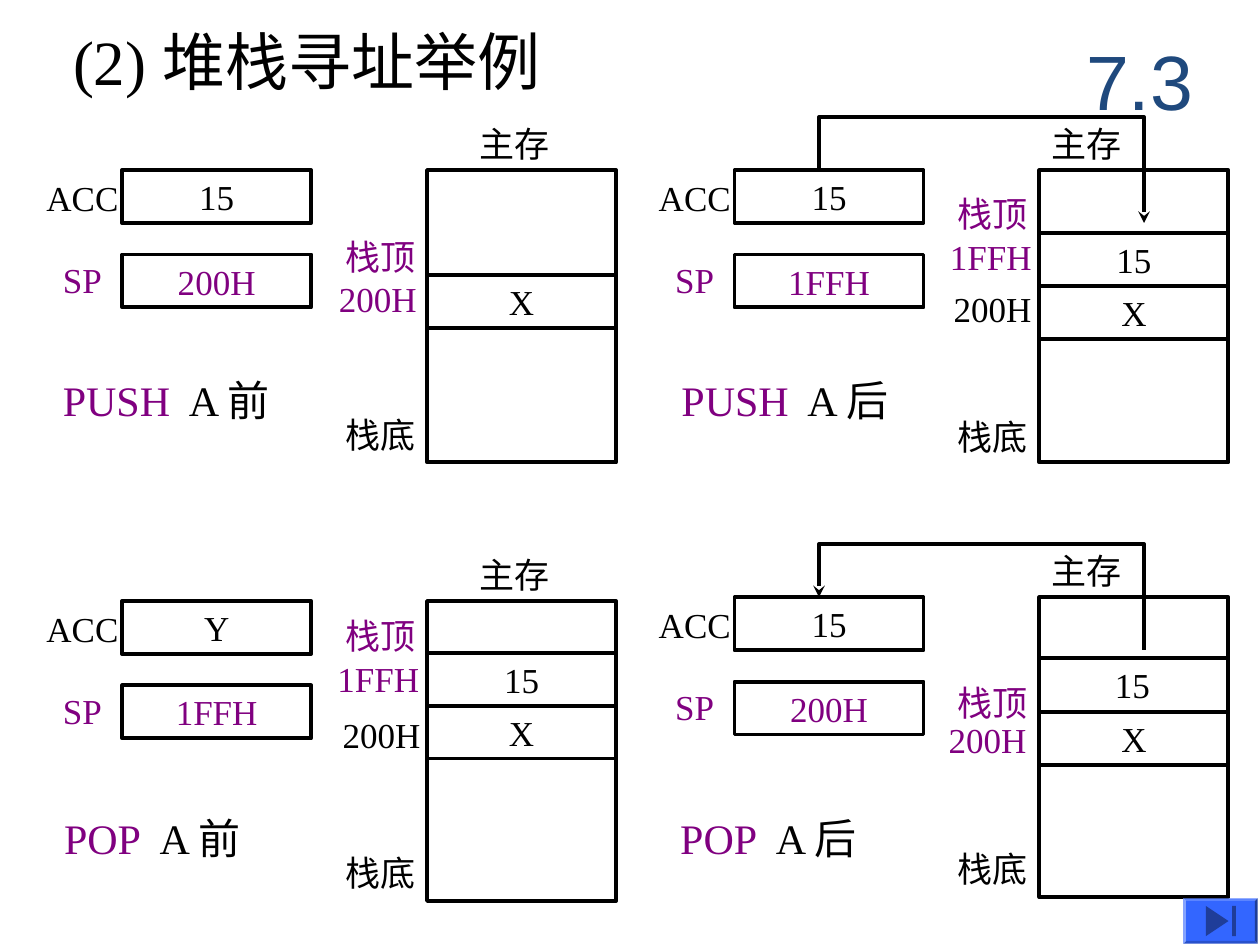
"""Build the stack addressing slide: four PUSH and POP states."""
from lxml.etree import SubElement
from pptx import Presentation
from pptx.dml.color import RGBColor
from pptx.enum.shapes import MSO_CONNECTOR as Connector, MSO_SHAPE as Preset
from pptx.enum.text import MSO_ANCHOR as Anchor, MSO_AUTO_SIZE as AutoSize, PP_ALIGN as Align
from pptx.oxml.ns import qn
from pptx.util import Inches, Pt

THEME = {
    "ink": "000000", "accent": "800080", "section": "1F497D",
    "button": "3366FF", "icon": "1F3D99",
    "serif": "Times New Roman", "sans": "Arial",
    "title_size": 36, "section_size": 44, "caption_size": 24, "label_size": 20,
    "line_width": 2.25,
}
TITLE = "(2) 堆栈寻址举例"
SECTION = "7.3"
PANELS = [
    {"origin": (0, 1.35), "acc": "15", "sp": "200H", "memory_height": 2.32,
     "memory_label": 3.71, "cells": [("X", 0.83)],
     "labels": [("栈顶", 2.64, 0.47, "accent"), ("200H", 2.59, 0.8, "accent"),
                ("栈底", 2.64, 1.88, "ink")],
     "caption": ("PUSH", "  A 前", 0.4, 2.92, 1.95)},
    {"origin": (4.86, 1.35), "acc": "15", "sp": "1FFH", "memory_height": 2.32,
     "memory_label": 3.39, "cells": [("15", 0.5), ("X", 0.92)],
     "labels": [("栈顶", 2.64, 0.13, "accent"), ("1FFH", 2.58, 0.47, "accent"),
                ("200H", 2.61, 0.88, "ink"), ("栈底", 2.64, 1.9, "ink")],
     "arrow_end": "a:tailEnd", "caption": ("PUSH", "  A 后", 5.31, 2.92, 1.95)},
    {"origin": (0, 4.77), "acc": "Y", "sp": "1FFH", "memory_height": 2.38,
     "memory_label": 3.71, "cells": [("15", 0.41), ("X", 0.83)],
     "labels": [("栈顶", 2.64, 0.06, "accent"), ("1FFH", 2.58, 0.4, "accent"),
                ("200H", 2.62, 0.84, "ink"), ("栈底", 2.64, 1.94, "ink")],
     "caption": ("POP", "  A 前", 0.41, 6.4, 1.71)},
    {"origin": (4.86, 4.74), "acc": "15", "sp": "200H", "memory_height": 2.38,
     "memory_label": 3.39, "cells": [("X", 0.91)],
     "labels": [("栈顶", 2.64, 0.62, "accent"), ("200H", 2.57, 0.91, "accent"),
                ("栈底", 2.64, 1.94, "ink"), ("15", 3.89, 0.48, "ink")],
     "divider": 0.48, "arrow_end": "a:headEnd",
     "caption": ("POP", "  A 后", 5.3, 6.4, 1.71)},
]
LABEL_WIDTHS = {"ACC": 0.77, "SP": 0.51, "200H": 0.82, "1FFH": 0.85, "15": 0.92}
REGISTER_LEFT, MEMORY_LEFT, BOX_WIDTH, BOX_HEIGHT = 0.97, 3.39, 1.5, 0.42
SP_OFFSET = 0.67


def color(name):
    return RGBColor.from_string(THEME[name])


def write(shape, runs, size="label_size", face="serif", align=Align.LEFT,
          anchor=Anchor.TOP, wrap=False):
    frame = shape.text_frame
    settings = {"word_wrap": wrap, "auto_size": AutoSize.NONE, "vertical_anchor": anchor}
    for name, value in settings.items():
        setattr(frame, name, value)
    paragraph = frame.paragraphs[0]
    paragraph.alignment = align
    for text, color_name in runs:
        run = paragraph.add_run()
        run.text = text
        for name, value in {"name": THEME[face], "size": Pt(THEME[size])}.items():
            setattr(run.font, name, value)
        run.font.color.rgb = color(color_name)


def add_text(shapes, runs, left, top, width, height=0.44, **style):
    box = shapes.add_textbox(*map(Inches, (left, top, width, height)))
    write(box, runs, **style)


def outline(shape):
    shape.line.color.rgb = color("ink")
    shape.line.width = Pt(THEME["line_width"])


def add_box(shapes, left, top, height=BOX_HEIGHT, text=None, color_name="ink"):
    box = shapes.add_shape(Preset.RECTANGLE, *map(Inches, (left, top, BOX_WIDTH, height)))
    box.shadow.inherit = False
    box.fill.background()
    outline(box)
    if text:
        write(box, [(text, color_name)], align=Align.CENTER, anchor=Anchor.MIDDLE)


def add_path(shapes, points, close=False):
    start, *rest = [(Inches(x), Inches(y)) for x, y in points]
    builder = shapes.build_freeform(*start, scale=1.0)
    builder.add_line_segments(rest, close=close)
    shape = builder.convert_to_shape()
    shape.shadow.inherit = False
    return shape


def add_transfer_arrow(shapes, left, top, arrow_end):
    start, end = left + 1.64, left + 4.22
    above, below = top - 0.42, top + 0.42
    path = add_path(shapes, [(start, top), (start, above), (end, above), (end, below)])
    path.fill.background()
    outline(path)
    line = path._element.spPr.find(qn("a:ln"))
    SubElement(line, qn(arrow_end), type="stealth")


def add_divider(shapes, left, top):
    ends = (left, top, left + BOX_WIDTH, top)
    divider = shapes.add_connector(Connector.STRAIGHT, *map(Inches, ends))
    outline(divider)
    SubElement(divider._element.spPr, qn("a:effectLst"))


def add_panel(slide, panel):
    left, top = panel["origin"]
    shapes = slide.shapes.add_group_shape().shapes
    register, memory = left + REGISTER_LEFT, left + MEMORY_LEFT
    add_box(shapes, register, top, text=panel["acc"])
    add_box(shapes, register, top + SP_OFFSET, text=panel["sp"], color_name="accent")
    add_box(shapes, memory, top, panel["memory_height"])
    for text, offset in panel["cells"]:
        add_box(shapes, memory, top + offset, text=text)
    labels = [("ACC", 0.27, 0, "ink"), ("SP", 0.4, 0.65, "accent"),
              ("主存", panel["memory_label"], -0.43, "ink")] + panel["labels"]
    for text, x, y, color_name in labels:
        add_text(shapes, [(text, color_name)], left + x, top + y,
                 LABEL_WIDTHS.get(text, 0.75))
    if "divider" in panel:
        add_divider(shapes, memory, top + panel["divider"])
    if "arrow_end" in panel:
        add_transfer_arrow(shapes, left, top, panel["arrow_end"])
    operation, state, x, y, width = panel["caption"]
    add_text(slide.shapes, [(operation, "accent"), (state, "ink")], x, y, width, 0.5,
             size="caption_size")


def add_button(shapes):
    button = shapes.add_shape(Preset.BEVEL, *map(Inches, (9.39, 7.13, 0.59, 0.36)))
    button.adjustments[0] = 0.06
    button.shadow.inherit = False
    triangle = add_path(shapes, [(9.75, 7.31), (9.57, 7.43), (9.57, 7.19)], close=True)
    bar = shapes.add_shape(Preset.RECTANGLE, *map(Inches, (9.78, 7.19, 0.03, 0.24)))
    bar.shadow.inherit = False
    for shape, color_name in ((button, "button"), (triangle, "icon"), (bar, "icon")):
        shape.fill.solid()
        shape.fill.fore_color.rgb = color(color_name)
        shape.line.fill.background()


def main():
    presentation = Presentation()
    presentation.slide_width, presentation.slide_height = Inches(10), Inches(7.5)
    slide = presentation.slides.add_slide(presentation.slide_layouts[5])
    title = slide.shapes.title
    bounds = {"left": 0.48, "top": 0.13, "width": 4.52, "height": 0.7}
    for name, value in bounds.items():
        setattr(title, name, Inches(value))
    write(title, [(TITLE, "ink")], size="title_size", wrap=True)
    for panel in PANELS:
        add_panel(slide, panel)
    add_text(slide.shapes, [(SECTION, "section")], 8.42, 0.17, 1.25, 0.92,
             size="section_size", face="sans", align=Align.CENTER,
             anchor=Anchor.MIDDLE, wrap=True)
    add_button(slide.shapes)
    presentation.save("out.pptx")


if __name__ == "__main__":
    main()
